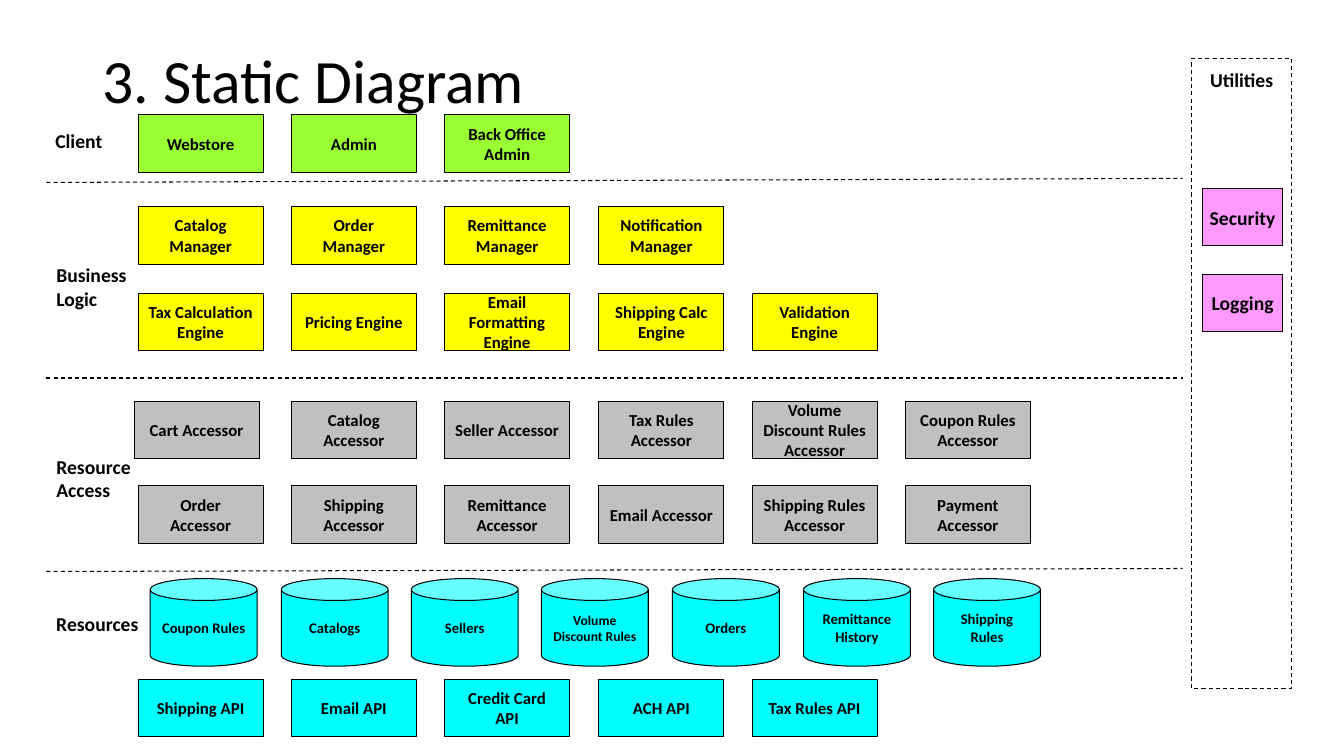
from lxml.etree import SubElement
from pptx import Presentation
from pptx.dml.color import RGBColor
from pptx.enum.dml import MSO_LINE
from pptx.enum.shapes import MSO_CONNECTOR, MSO_SHAPE
from pptx.enum.text import MSO_ANCHOR, MSO_AUTO_SIZE, PP_ALIGN
from pptx.oxml.ns import qn
from pptx.util import Emu, Pt

SCALE = 9144  # 100 px to the inch
BLACK, GREEN, YELLOW = "000000", "99FF33", "FFFF00"
GREY, CYAN, PINK = "C0C0C0", "00FFFF", "FF99FF"
COLUMN_X, COLUMN_PITCH = 137, 152.2
BOX_W, BOX_H = 124, 57
CAN_X, CAN_PITCH = 149, 129.5
CAN_W, CAN_H = 106, 87

LABELS = [
    ("Client", 45, 123, 68, 34),
    ("Business\nLogic", 46, 256, 91, 57),
    ("Resource\nAccess", 46, 446, 95, 57),
    ("Resources", 46, 602, 103, 34),
]
DIVIDERS = [(181, 177), (375, 375), (567, 564)]
# fill, top, first column, names
BOX_ROWS = [
    (GREEN, 114, 0, ["Webstore", "Admin", "Back Office\nAdmin"]),
    (YELLOW, 205, 0, ["Catalog Manager", "Order Manager", "Remittance Manager",
                      "Notification Manager"]),
    (YELLOW, 291, 0, ["Tax Calculation Engine", "Pricing Engine",
                      "Email Formatting Engine", "Shipping Calc Engine",
                      "Validation Engine"]),
    (GREY, 398, 1, ["Catalog Accessor", "Seller Accessor", "Tax Rules Accessor",
                    "Volume Discount Rules Accessor", "Coupon Rules Accessor"]),
    (GREY, 482, 0, ["Order Accessor", "Shipping Accessor", "Remittance Accessor",
                    "Email Accessor", "Shipping Rules Accessor",
                    "Payment Accessor"]),
    (CYAN, 674, 0, ["Shipping API", "Email API", "Credit Card API", "ACH API",
                    "Tax Rules API"]),
]
STORES = [
    ("Coupon Rules", 10.5), ("Catalogs", 10.5), ("Sellers", 10.5),
    ("Volume Discount Rules", 9.7), ("Orders", 10.5),
    ("Remittance History", 10.5), ("Shipping Rules", 10.5),
]


def px(n):
    return Emu(n * SCALE)


def rgb(value):
    return RGBColor.from_string(value)


def write(tf, text, size, bold=True, align=PP_ALIGN.CENTER):
    """Fill the frame's first paragraph, with a line break at each newline."""
    p = tf.paragraphs[0]
    p.alignment = align
    for i, line in enumerate(text.split("\n")):
        if i:
            p.add_line_break()
        r = p.add_run()
        r.text = line
        r.font.name = "Calibri"
        r.font.size = Pt(size)
        r.font.bold = bold
        r.font.color.rgb = rgb(BLACK)
    return p


def outline(line, dashed=False):
    line.color.rgb = rgb(BLACK)
    line.width = Pt(0.75)
    if dashed:
        line.dash_style = MSO_LINE.DASH


def add_block(s, kind, x, y, w, h, text, size, fill=None, wrap=True):
    """Add an outlined shape with centred text; without a fill it is dashed."""
    sp = s.shapes.add_shape(kind, px(x), px(y), px(w), px(h))
    sp.shadow.inherit = False
    if fill:
        sp.fill.solid()
        sp.fill.fore_color.rgb = rgb(fill)
    else:
        sp.fill.background()
    outline(sp.line, dashed=fill is None)
    tf = sp.text_frame
    tf.word_wrap = wrap
    tf.vertical_anchor = MSO_ANCHOR.MIDDLE
    write(tf, text, size)
    return sp


def add_title(s, text):
    tf = s.shapes.add_textbox(px(92), px(40), px(1150), px(85)).text_frame
    tf.word_wrap = True
    tf.vertical_anchor = MSO_ANCHOR.MIDDLE
    write(tf, text, 44, bold=False, align=PP_ALIGN.LEFT).line_spacing = 0.9


def add_label(s, text, x, y, w, h):
    tf = s.shapes.add_textbox(px(x), px(y), px(w), px(h)).text_frame
    tf.word_wrap = False
    tf.auto_size = MSO_AUTO_SIZE.SHAPE_TO_FIT_TEXT
    write(tf, text, 14, align=PP_ALIGN.LEFT)


def add_divider(s, y1, y2):
    line = s.shapes.add_connector(MSO_CONNECTOR.STRAIGHT,
                                  px(46), px(y1), px(1173), px(y2))
    outline(line.line, dashed=True)
    SubElement(line._element.spPr, qn("a:effectLst"))


def add_box_row(s, fill, y, first, names):
    for i, name in enumerate(names, first):
        x = COLUMN_X + round(i * COLUMN_PITCH)
        add_block(s, MSO_SHAPE.RECTANGLE, x, y, BOX_W, BOX_H, name, 12, fill)


def add_stores(s):
    for i, (name, size) in enumerate(STORES):
        x = CAN_X + round(i * CAN_PITCH)
        add_block(s, MSO_SHAPE.CAN, x, 574, CAN_W, CAN_H, name, size, CYAN)


def add_utilities(s):
    panel = add_block(s, MSO_SHAPE.RECTANGLE, 1182, 58, 99, 625,
                      "Utilities", 14, wrap=False)
    panel.text_frame.vertical_anchor = MSO_ANCHOR.TOP
    panel.text_frame.margin_top = px(9)
    for name, y in (("Security", 187), ("Logging", 272)):
        add_block(s, MSO_SHAPE.RECTANGLE, 1193, y, 79, BOX_H,
                  name, 14, PINK, wrap=False)


def main():
    prs = Presentation()
    prs.slide_width, prs.slide_height = px(1333), px(750)
    s = prs.slides.add_slide(prs.slide_layouts[6])
    add_title(s, "3. Static Diagram")
    for y1, y2 in DIVIDERS:
        add_divider(s, y1, y2)
    for label in LABELS:
        add_label(s, *label)
    add_utilities(s)
    for row in BOX_ROWS:
        add_box_row(s, *row)
    add_block(s, MSO_SHAPE.RECTANGLE, 133, 398, BOX_W, BOX_H,
              "Cart Accessor", 12, GREY)
    add_stores(s)
    prs.save("out.pptx")


if __name__ == "__main__":
    main()
